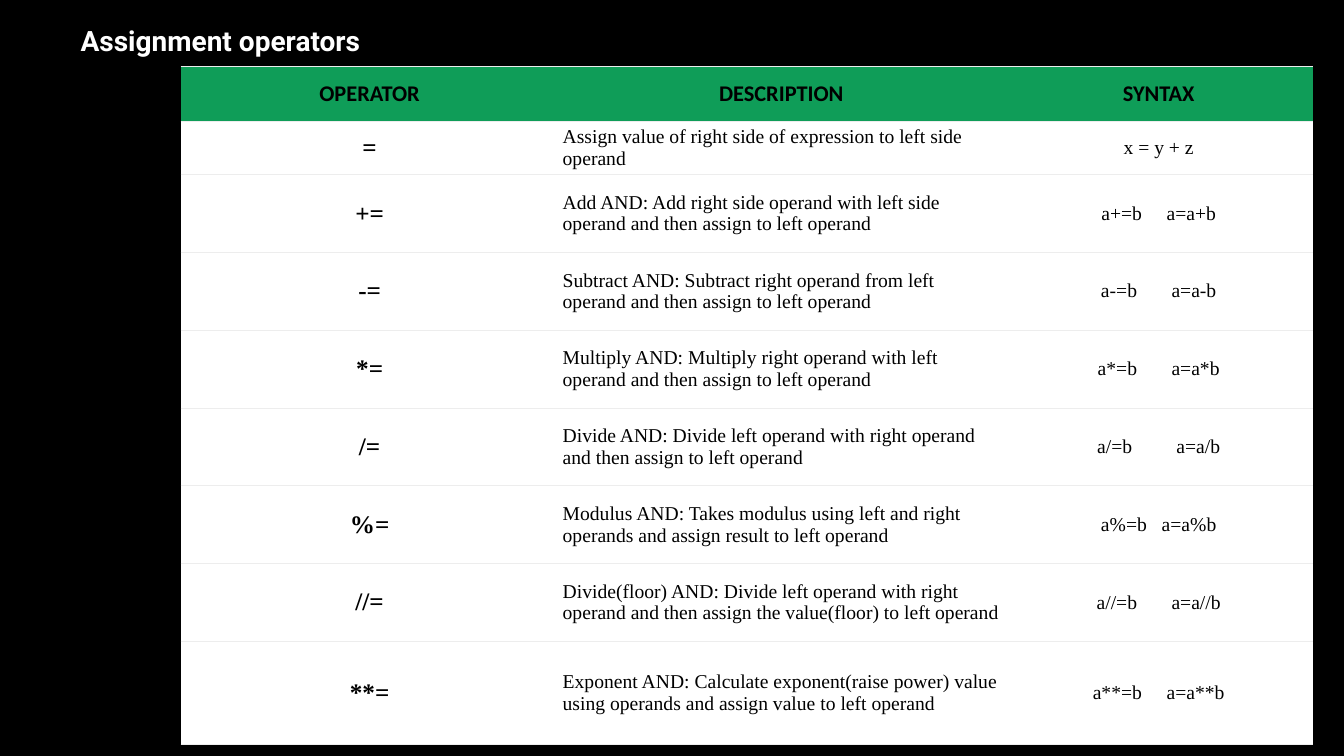
from lxml import etree
from pptx import Presentation, util as u
from pptx.dml.color import RGBColor
from pptx.enum import text
from pptx.oxml import ns

HEADINGS = ["OPERATOR", "DESCRIPTION", "SYNTAX"]
# Operator, description, short syntax, long syntax, gap width in spaces
OPERATORS = [
    ("=", "Assign value of right side of expression to left side operand",
     "x = y + z", "", 0),
    ("+=", "Add AND: Add right side operand with left side operand and then "
     "assign to left operand", "a+=b", "a=a+b", 5),
    ("-=", "Subtract AND: Subtract right operand from left operand and then "
     "assign to left operand", "a-=b", "a=a-b", 7),
    ("*=", "Multiply AND: Multiply right operand with left operand and then "
     "assign to left operand", "a*=b", "a=a*b", 7),
    ("/=", "Divide AND: Divide left operand with right operand and then "
     "assign to left operand", "a/=b", "a=a/b", 9),
    ("%=", "Modulus AND: Takes modulus using left and right operands and "
     "assign result to left operand", "a%=b", "a=a%b", 3),
    ("//=", "Divide(floor) AND: Divide left operand with right operand and "
     "then assign the value(floor) to left operand", "a//=b", "a=a//b", 7),
    ("**=", "Exponent AND: Calculate exponent(raise power) value using "
     "operands and assign value to left operand", "a**=b", "a=a**b", 5),
]
COLUMN_WIDTHS = [9.53, 11.22, 7.8]
ROW_HEIGHTS = [1.37, 1.35] + [1.96] * 6 + [2.59]
CENTER = text.PP_ALIGN.CENTER
LEFT = text.PP_ALIGN.LEFT


def color(value):
    return RGBColor.from_string(value)


class OperatorSlide:
    black, white, green, rule = "000000", "FFFFFF", "0F9D58", "EDEDED"
    title_font, heading_font, body_font = "Roboto", "Calibri", "Times New Roman"

    def __init__(self, presentation):
        self.slide = presentation.slides.add_slide(presentation.slide_layouts[6])
        background = self.slide.background.fill
        background.solid()
        background.fore_color.rgb = color(self.black)

    def format_runs(self, paragraph, font, size, ink, bold=False):
        for run in paragraph.runs:
            run.font.name = font
            run.font.size = u.Pt(size)
            run.font.bold = bold
            run.font.color.rgb = color(ink)

    def title(self, words, left, top, width, height):
        shape = self.slide.shapes.add_textbox(
            u.Cm(left), u.Cm(top), u.Cm(width), u.Cm(height))
        frame = shape.text_frame
        frame.word_wrap = True
        frame.vertical_anchor = text.MSO_ANCHOR.MIDDLE
        frame.text = words
        frame.paragraphs[0].line_spacing = 0.9
        self.format_runs(frame.paragraphs[0], self.title_font, 20, self.white, True)

    def table(self, left, top, widths, heights):
        shape = self.slide.shapes.add_table(
            len(heights), len(widths), u.Cm(left), u.Cm(top),
            u.Cm(sum(widths)), u.Cm(sum(heights)))
        table = shape.table
        table.first_row = table.horz_banding = False
        for column, width in zip(table.columns, widths):
            column.width = u.Cm(width)
        for row, height in zip(table.rows, heights):
            row.height = u.Cm(height)
        return table

    def borders(self, cell):
        """Rule the cell above and below, with open sides."""
        properties = cell._tc.get_or_add_tcPr()
        for side in ("lnL", "lnR", "lnT", "lnB"):
            line = etree.SubElement(properties, ns.qn(f"a:{side}"), w=str(u.Pt(0.75)))
            if side in ("lnL", "lnR"):
                etree.SubElement(line, ns.qn("a:noFill"))
            else:
                fill = etree.SubElement(line, ns.qn("a:solidFill"))
                etree.SubElement(fill, ns.qn("a:srgbClr"), val=self.rule)

    def cell(self, cell, words, align, font, size, bold, fill, inset):
        self.borders(cell)
        cell.fill.solid()
        cell.fill.fore_color.rgb = color(fill)
        cell.vertical_anchor = text.MSO_ANCHOR.MIDDLE
        cell.margin_left = cell.margin_right = u.Cm(inset[0])
        cell.margin_top = cell.margin_bottom = u.Cm(inset[1])
        cell.text_frame.text = words
        paragraph = cell.text_frame.paragraphs[0]
        paragraph.alignment = align
        self.format_runs(paragraph, font, size, self.black, bold)
        return paragraph

    def heading(self, cell, words):
        self.cell(cell, words, CENTER, self.heading_font, 16, True,
                  self.green, (0.08, 0.08))

    def body(self, cell, words, align=CENTER, size=14, bold=False):
        return self.cell(cell, words, align, self.body_font, size, bold,
                         self.white, (0.1, 0.05))

    def syntax(self, cell, short, long, spaces):
        """Write both forms, parted by one space stretched to the gap width."""
        paragraph = self.body(cell, short)
        if long:
            gap = paragraph.add_run()
            gap.text = " "
            paragraph.add_run().text = long
            self.format_runs(paragraph, self.body_font, 14, self.black)
            # A space is a quarter of the type size; spc is in 1/100 pt
            gap.font._element.set("spc", str((spaces - 1) * 350))


def main():
    presentation = Presentation()
    presentation.slide_width = u.Cm(33.87)
    presentation.slide_height = u.Cm(19.05)
    page = OperatorSlide(presentation)
    table = page.table(4.55, 1.68, COLUMN_WIDTHS, ROW_HEIGHTS)
    for column, words in enumerate(HEADINGS):
        page.heading(table.cell(0, column), words)
    for row, (operator, description, short, long, spaces) in enumerate(OPERATORS, 1):
        page.body(table.cell(row, 0), operator, size=18, bold=True)
        page.body(table.cell(row, 1), description, align=LEFT)
        page.syntax(table.cell(row, 2), short, long, spaces)
    page.title("Assignment operators", 1.78, 0, 11.4, 2.16)
    presentation.save("out.pptx")


if __name__ == "__main__":
    main()
